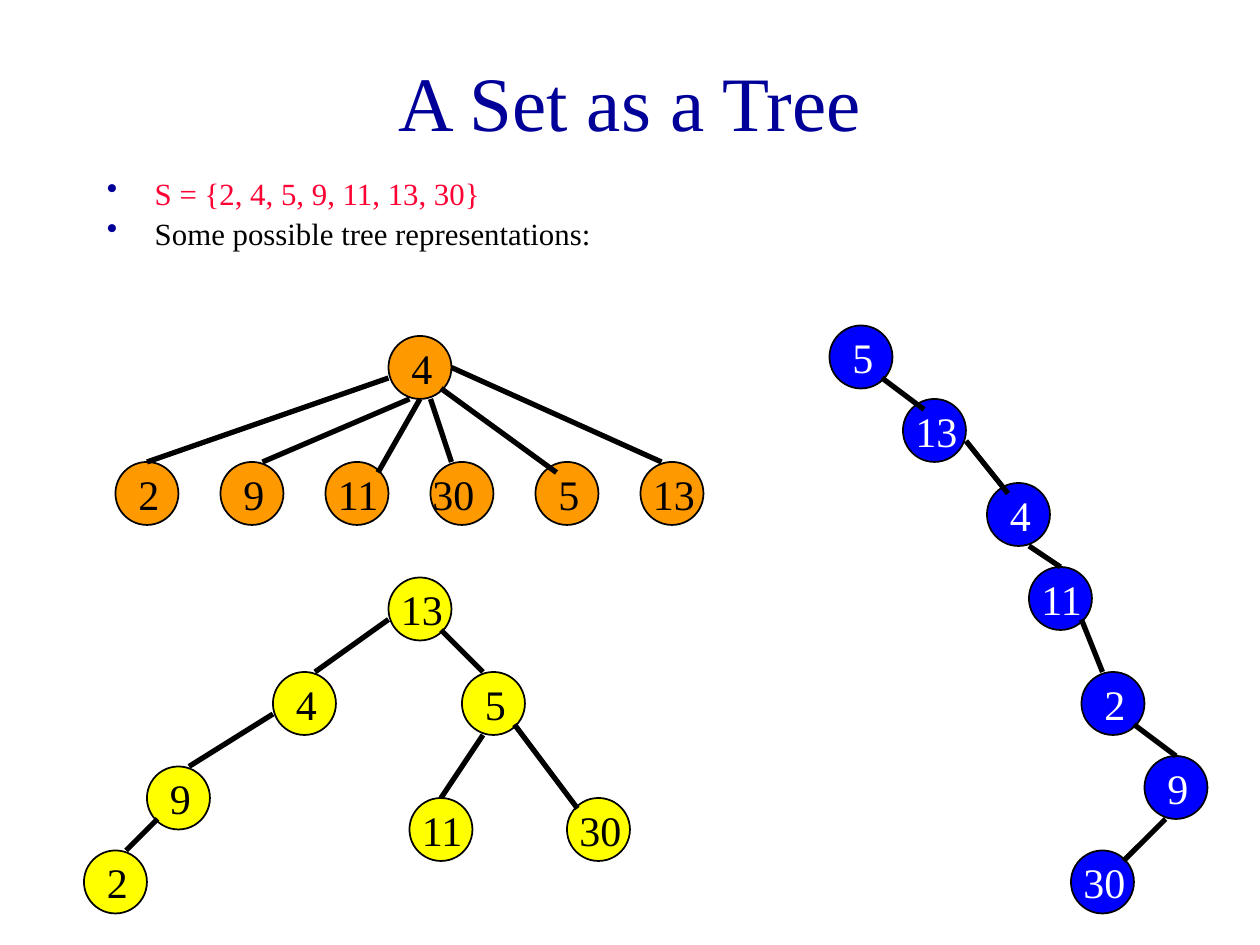
from pptx import Presentation
from pptx.dml.color import RGBColor
from pptx.enum.shapes import MSO_CONNECTOR, MSO_SHAPE
from pptx.enum.text import MSO_ANCHOR, PP_ALIGN
from pptx.util import Inches, Pt
from lxml import etree
from pptx.oxml.ns import qn

OVAL = MSO_SHAPE.OVAL
STRAIGHT = MSO_CONNECTOR.STRAIGHT
LEFT, CENTER = PP_ALIGN.LEFT, PP_ALIGN.CENTER
TOP, MIDDLE = MSO_ANCHOR.TOP, MSO_ANCHOR.MIDDLE

THEME = {
    "font": "Times New Roman",
    "navy": "000099", "red": "FF0033", "black": "000000", "white": "FFFFFF",
    "orange": "FF9900", "yellow": "FFFF00", "blue": "0000FF",
    "title_size": 44, "body_size": 17.6, "node_size": 24,
    "outline": 1, "edge": 3,
}

TITLE = "A Set as a Tree"
BULLETS = [
    ("S = {2, 4, 5, 9, 11, 13, 30}", "red"),
    ("Some possible tree representations:", "black"),
]

# Node corners and edge ends are in grid units; edge ends count from their node's corner.
GRID = 12
NODE_UNITS = 6
LEAVES = ["2", "9", "11", "30", "5", "13"]
TREES = [
    {
        "fill": "orange", "ink": "black", "label_shift": {"30": -1},
        "nodes": {"4": (37, 32),
                  **{leaf: (11 + 10 * i, 44) for i, leaf in enumerate(LEAVES)}},
        "edges": [
            ("4", "2", (0, 4), (3, 0)),
            ("4", "9", (2, 6), (4, 0)),
            ("4", "11", (3, 6), (5, 1)),
            ("4", "30", (4, 6), (2, 0)),
            ("4", "5", (5, 5), (2, 1)),
            ("4", "13", (6, 3), (2, 0)),
        ],
    },
    {
        "fill": "yellow", "ink": "black", "label_shift": {},
        "nodes": {"13": (37, 55), "4": (26, 64), "5": (44, 64), "9": (14, 73),
                  "2": (8, 81), "11": (39, 76), "30": (54, 76)},
        "edges": [
            ("13", "4", (0, 4), (4, 0)),
            ("4", "9", (0, 4), (4, 0)),
            ("13", "5", (5, 5), (2, 0)),
            ("9", "2", (1, 5), (4, 0)),
            ("5", "11", (2, 6), (3, 0)),
            ("5", "30", (5, 5), (1, 1)),
        ],
    },
    {
        "fill": "blue", "ink": "white", "label_shift": {},
        "nodes": {"5": (79, 31), "13": (86, 38), "4": (94, 46), "11": (98, 54),
                  "2": (103, 64), "9": (109, 72), "30": (102, 81)},
        "edges": [
            ("5", "13", (5, 5), (2, 1)),
            ("13", "4", (6, 4), (2, 1)),
            ("4", "11", (4, 6), (3, 0)),
            ("11", "2", (5, 5), (2, 0)),
            ("2", "9", (5, 5), (3, 0)),
            ("9", "30", (2, 6), (5, 1)),
        ],
    },
]


def color(name):
    return RGBColor.from_string(THEME[name])


def units(count):
    return Inches(count / GRID)


def add_box(shapes, left, top, width, height, anchor=TOP):
    box = shapes.add_textbox(left, top, width, height)
    box.text_frame.word_wrap = True
    box.text_frame.vertical_anchor = anchor
    return box.text_frame


def add_span(para, text, size, ink, align=LEFT):
    para.alignment = align
    span = para.add_run()
    span.text = text
    span.font.name = THEME["font"]
    span.font.size = Pt(THEME[size])
    span.font.color.rgb = color(ink)


def add_bullet(para):
    properties = para._p.get_or_add_pPr()
    properties.set("marL", str(Inches(0.38)))
    properties.set("indent", str(-Inches(0.38)))
    bullet_color = etree.SubElement(properties, qn("a:buClr"))
    etree.SubElement(bullet_color, qn("a:srgbClr"), val=THEME["navy"])
    etree.SubElement(properties, qn("a:buChar"), char="•")


def add_node(shapes, label, corner, tree):
    x, y = corner
    circle = shapes.add_shape(OVAL, units(x), units(y), units(NODE_UNITS), units(NODE_UNITS))
    circle.shadow.inherit = False
    circle.fill.solid()
    circle.fill.fore_color.rgb = color(tree["fill"])
    circle.line.color.rgb = color("black")
    circle.line.width = Pt(THEME["outline"])
    inset, width = (1, 4) if len(label) == 1 else (0, 9)
    left = x + inset + tree["label_shift"].get(label, 0)
    frame = add_box(shapes, units(left), units(y), units(width), units(NODE_UNITS))
    add_span(frame.paragraphs[0], label, "node_size", tree["ink"])


def add_edge(shapes, start, end):
    edge = shapes.add_connector(STRAIGHT, *map(units, start + end))
    edge.line.color.rgb = color("black")
    edge.line.width = Pt(THEME["edge"])
    etree.SubElement(edge._element.spPr, qn("a:effectLst"))


def add_tree(slide, tree):
    shapes = slide.shapes.add_group_shape().shapes
    nodes = tree["nodes"]
    for label, corner in nodes.items():
        add_node(shapes, label, corner, tree)
    for parent, child, leave, arrive in tree["edges"]:
        start = tuple(map(sum, zip(nodes[parent], leave)))
        end = tuple(map(sum, zip(nodes[child], arrive)))
        add_edge(shapes, start, end)


def main():
    deck = Presentation()
    deck.slide_width, deck.slide_height = Inches(10), Inches(7.5)
    page = deck.slides.add_slide(deck.slide_layouts[6])

    title = add_box(page.shapes, Inches(0.75), Inches(0.17), Inches(8.5), Inches(1.25), MIDDLE)
    add_span(title.paragraphs[0], TITLE, "title_size", "navy", CENTER)

    body = add_box(page.shapes, Inches(0.75), Inches(1.42), Inches(8.5), Inches(0.67))
    for i, (text, ink) in enumerate(BULLETS):
        para = body.add_paragraph() if i else body.paragraphs[0]
        add_bullet(para)
        para.line_spacing = 0.7
        if i:
            para.space_before = Pt(8)
        add_span(para, text, "body_size", ink)

    for tree in TREES:
        add_tree(page, tree)
    deck.save("out.pptx")


if __name__ == "__main__":
    main()
